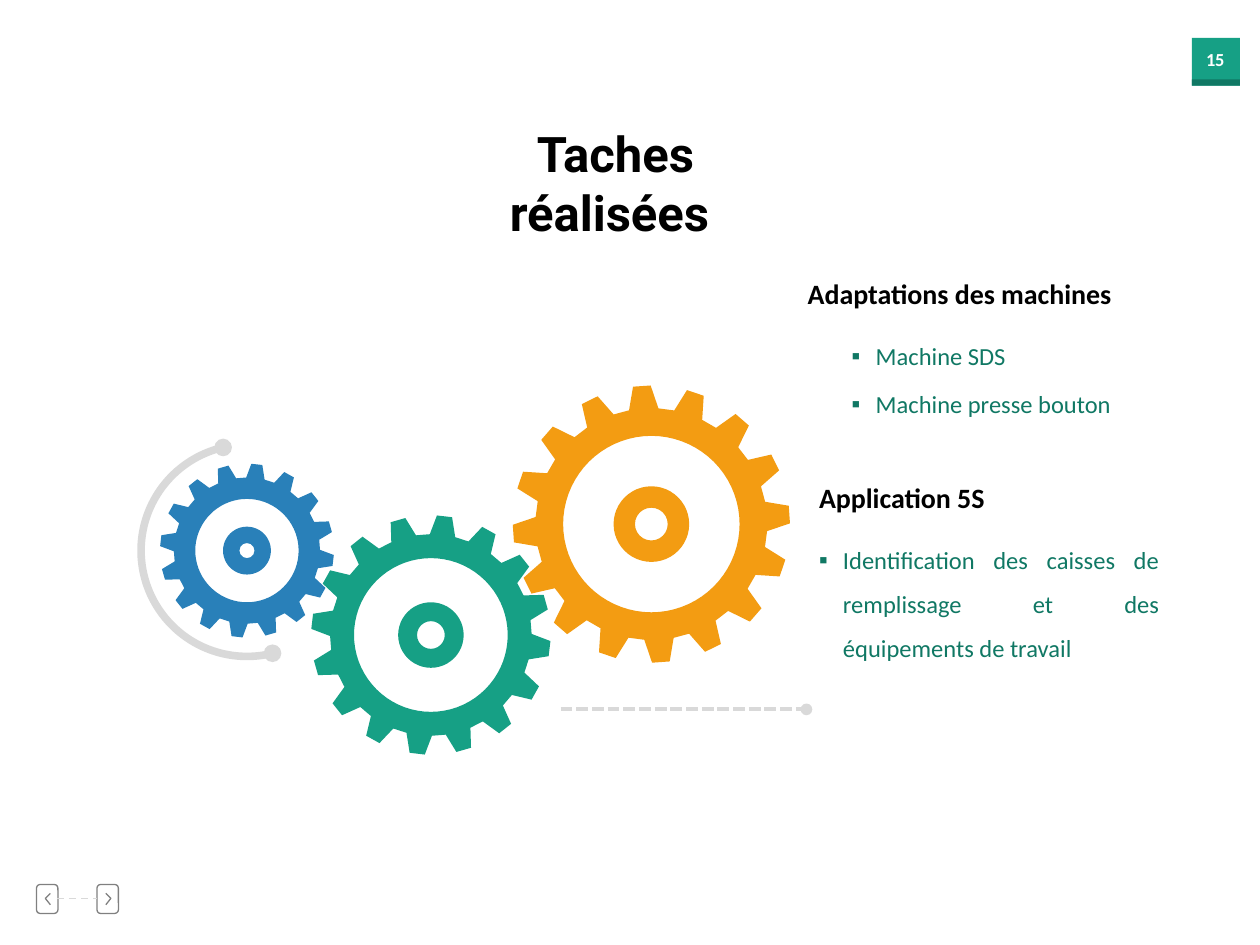
"""Build the slide of completed tasks, with three meshing gears and two lists."""
import dataclasses
import math
import typing

import lxml.etree
import pptx
import pptx.dml.color
import pptx.enum.dml
import pptx.enum.shapes
import pptx.enum.text
import pptx.oxml.ns
import pptx.util

Inches = pptx.util.Inches
Pt = pptx.util.Pt
Kind = pptx.enum.shapes.MSO_SHAPE
Dash = pptx.enum.dml.MSO_LINE
Align = pptx.enum.text.PP_ALIGN
qn = pptx.oxml.ns.qn
Point = tuple[float, float]
Box = tuple[float, float, float, float]

HUES = {
    "green": "16A085", "dark": "107864", "gold": "F39C12", "blue": "2980B9",
    "pale": "D9D9D9", "grey": "808080", "black": "000000", "white": "FFFFFF",
}
TEETH = 16


@dataclasses.dataclass
class Gear:
    x: float
    y: float
    tip: float
    root: float
    hole: float
    hub: float
    bore: float
    turn: float
    hue: str


@dataclasses.dataclass
class Topic:
    head: str
    spot: Box
    items: list[str]
    area: Box


GEARS = [
    Gear(5.17, 4.16, 1.1, 0.92, 0.7, 0.3, 0.13, 3.5, "gold"),
    Gear(3.42, 5.04, 0.95, 0.8, 0.61, 0.26, 0.11, 14, "green"),
    Gear(1.96, 4.37, 0.69, 0.58, 0.41, 0.19, 0.06, 14, "blue"),
]
TOPICS = [
    Topic("Adaptations des machines", (6.31, 2.01, 2.78, 0.5),
          ["Machine SDS", "Machine presse bouton"], (6.66, 2.54, 2.9, 0.8)),
    Topic("Application 5S", (6.4, 3.63, 2.21, 0.46),
          ["Identification des caisses de remplissage et des équipements de travail"],
          (6.4, 4.16, 2.9, 1.16)),
]


def tint(hue: str) -> pptx.dml.color.RGBColor:
    return pptx.dml.color.RGBColor.from_string(HUES[hue])


def paint(shape: typing.Any, hue: str) -> None:
    shape.shadow.inherit = False
    shape.fill.solid()
    shape.fill.fore_color.rgb = tint(hue)
    shape.line.fill.background()


def trace(shape: typing.Any, hue: str) -> None:
    shape.shadow.inherit = False
    shape.fill.background()
    shape.line.color.rgb = tint(hue)
    shape.line.width = Pt(0.75)


def place(shape: typing.Any, box: Box) -> None:
    shape.left, shape.top, shape.width, shape.height = map(Inches, box)


def solid(slide: typing.Any, kind: typing.Any, box: Box, hue: str) -> typing.Any:
    shape = slide.shapes.add_shape(kind, *map(Inches, box))
    paint(shape, hue)
    return shape


def disc(slide: typing.Any, kind: typing.Any, x: float, y: float, r: float, hue: str) -> typing.Any:
    return solid(slide, kind, (x - r, y - r, 2 * r, 2 * r), hue)


def polar(x: float, y: float, r: float, angle: float) -> Point:
    turn = math.radians(angle)
    return x + r * math.cos(turn), y + r * math.sin(turn)


def outline(slide: typing.Any, rings: list[list[Point]], close: bool = True) -> typing.Any:
    pen = None
    for ring in rings:
        first, *rest = [(Inches(x), Inches(y)) for x, y in ring]
        if pen is None:
            pen = slide.shapes.build_freeform(*first)
        else:
            pen.move_to(*first)
        pen.add_line_segments(rest, close=close)
    return pen.convert_to_shape()


def draw_gear(slide: typing.Any, gear: Gear) -> None:
    tooth = [(gear.root, 0), (gear.tip, 3.8), (gear.tip, 11.1), (gear.root, 14.6)]
    rim = [polar(gear.x, gear.y, r, gear.turn - step - n * 360 / TEETH)
           for n in range(TEETH) for r, step in tooth]
    hole = [polar(gear.x, gear.y, gear.hole, angle) for angle in range(0, 360, 5)]
    paint(outline(slide, [rim, hole]), gear.hue)
    hub = disc(slide, Kind.DONUT, gear.x, gear.y, gear.hub, gear.hue)
    hub.adjustments[0] = (gear.hub - gear.bore) / (2 * gear.hub)


def draw_arc(slide: typing.Any, x: float, y: float) -> None:
    start, end, size, band = 76, 257, 0.87, 0.06
    arc = disc(slide, Kind.BLOCK_ARC, x, y, size, "pale")
    for n, value in enumerate((start * 0.6, end * 0.6, band / (2 * size))):
        arc.adjustments[n] = value
    for angle in (start, end):
        disc(slide, Kind.OVAL, *polar(x, y, size - band / 2, angle), 0.07, "pale")


def draw_line(slide: typing.Any, start: Point, end: Point, width: float, dash: typing.Any) -> typing.Any:
    line = slide.shapes.add_connector(
        pptx.enum.shapes.MSO_CONNECTOR.STRAIGHT, *map(Inches, start + end))
    line.line.color.rgb = tint("pale")
    line.line.width = Pt(width)
    line.line.dash_style = dash
    lxml.etree.SubElement(line._element.spPr, qn("a:effectLst"))
    return line


def draw_key(slide: typing.Any, left: float, way: int) -> None:
    key = slide.shapes.add_shape(
        Kind.ROUNDED_RECTANGLE, *map(Inches, (left, 7.02, 0.17, 0.23)))
    trace(key, "grey")
    mid = left + 0.09
    mark = [(mid - 0.02 * way, 7.09), (mid + 0.02 * way, 7.13), (mid - 0.02 * way, 7.18)]
    trace(outline(slide, [mark], close=False), "grey")


def write(shape: typing.Any, text: str, size: float, face: str, hue: str,
          bold: bool, align: typing.Any, space: float = 1, wrap: bool = True) -> None:
    frame = shape.text_frame
    frame.text = text
    frame.word_wrap = wrap
    frame.auto_size = pptx.enum.text.MSO_AUTO_SIZE.NONE
    frame.vertical_anchor = pptx.enum.text.MSO_ANCHOR.TOP
    for n, para in enumerate(frame.paragraphs):
        para.alignment = align
        para.line_spacing = space
        para.space_before = Pt(2.4 if n else 0)
        for run in para.runs:
            run.font.size, run.font.name, run.font.bold = Pt(size), face, bold
            run.font.color.rgb = tint(hue)


def fill_topic(topic: Topic, head: typing.Any, body: typing.Any) -> None:
    place(head, topic.spot)
    write(head, topic.head, 16, "Calibri", "black", True, Align.LEFT, 1.5)
    place(body, topic.area)
    body.text_frame.text = "\n".join(topic.items)
    write(body, body.text_frame.text, 14, "Calibri", "dark", False, Align.JUSTIFY, 1.5)
    for para in body.text_frame.paragraphs:
        props = para._p.get_or_add_pPr()
        props.set("marL", str(Inches(0.19)))
        props.set("indent", str(-Inches(0.19)))
        lxml.etree.SubElement(props, qn("a:buFont")).set("typeface", "Calibri")
        lxml.etree.SubElement(props, qn("a:buChar")).set("char", "▪")


def main() -> None:
    deck = pptx.Presentation()
    deck.slide_width, deck.slide_height = Inches(10), Inches(7.5)
    slide = deck.slides.add_slide(deck.slide_layouts.get_by_name("Comparison"))
    title, *slots = slide.placeholders

    solid(slide, Kind.RECTANGLE, (9.46, 0.3, 0.38, 0.38), "green")
    solid(slide, Kind.RECTANGLE, (9.46, 0.63, 0.38, 0.05), "dark")
    page = slide.shapes.add_textbox(*map(Inches, (9.42, 0.33, 0.45, 0.28)))
    write(page, "15", 10.5, "Calibri", "white", True, Align.CENTER, wrap=False)

    draw_key(slide, 0.29, -1)
    draw_key(slide, 0.77, 1)
    draw_line(slide, (0.45, 7.13), (0.77, 7.13), 1, Dash.DASH)

    place(title, (3.46, 0.93, 2.85, 1.03))
    write(title, "Taches réalisées ", 28, "Roboto", "black", True, Align.CENTER)
    for gear in GEARS:
        draw_gear(slide, gear)
    draw_arc(slide, GEARS[-1].x, GEARS[-1].y)
    for topic, head, body in zip(TOPICS, slots[::2], slots[1::2]):
        fill_topic(topic, head, body)

    lead = draw_line(slide, (4.45, 5.63), (6.4, 5.63), 2.25, Dash.SQUARE_DOT)
    lxml.etree.SubElement(lead.line._get_or_add_ln(), qn("a:tailEnd")).set("type", "oval")
    deck.save("out.pptx")


if __name__ == "__main__":
    main()
